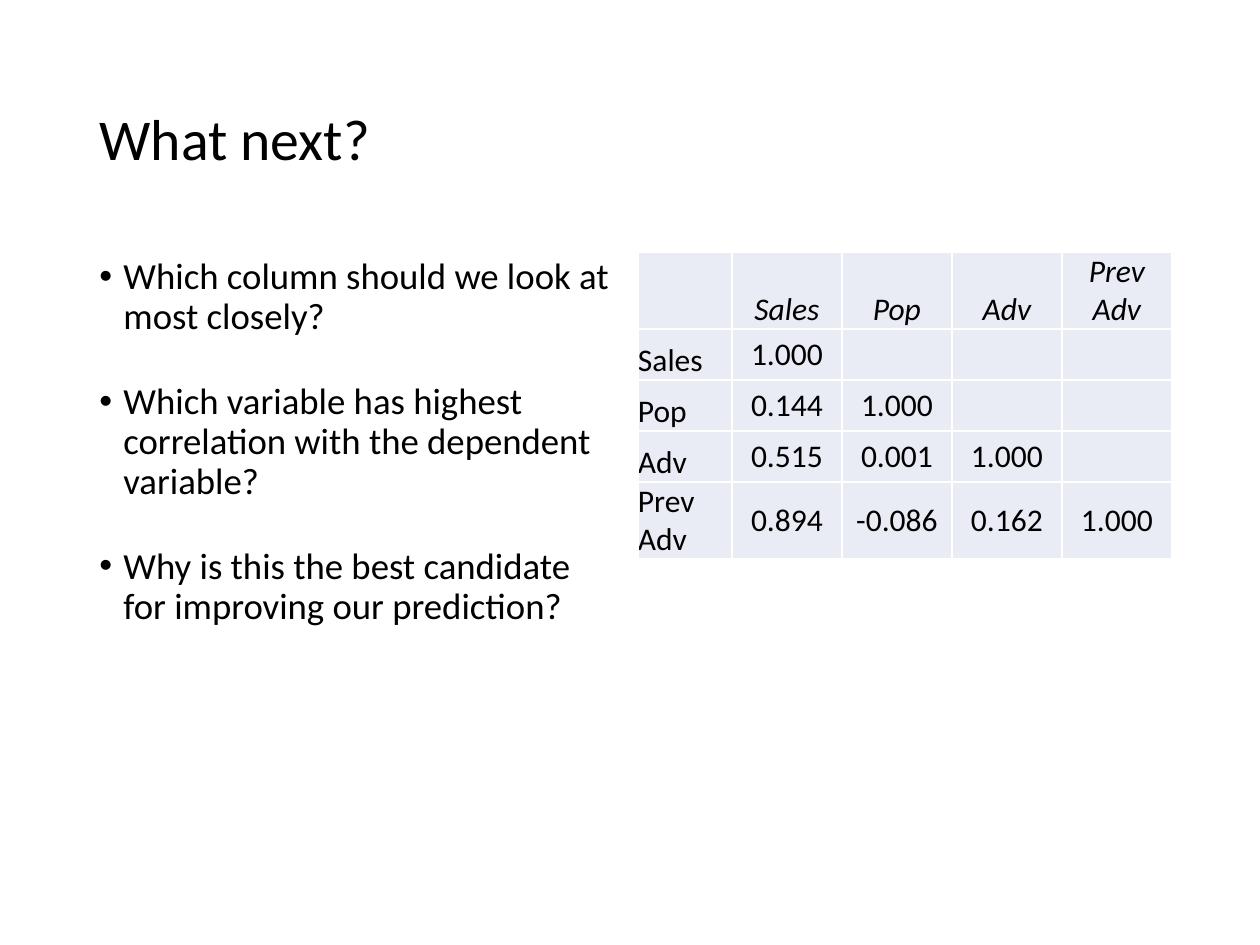
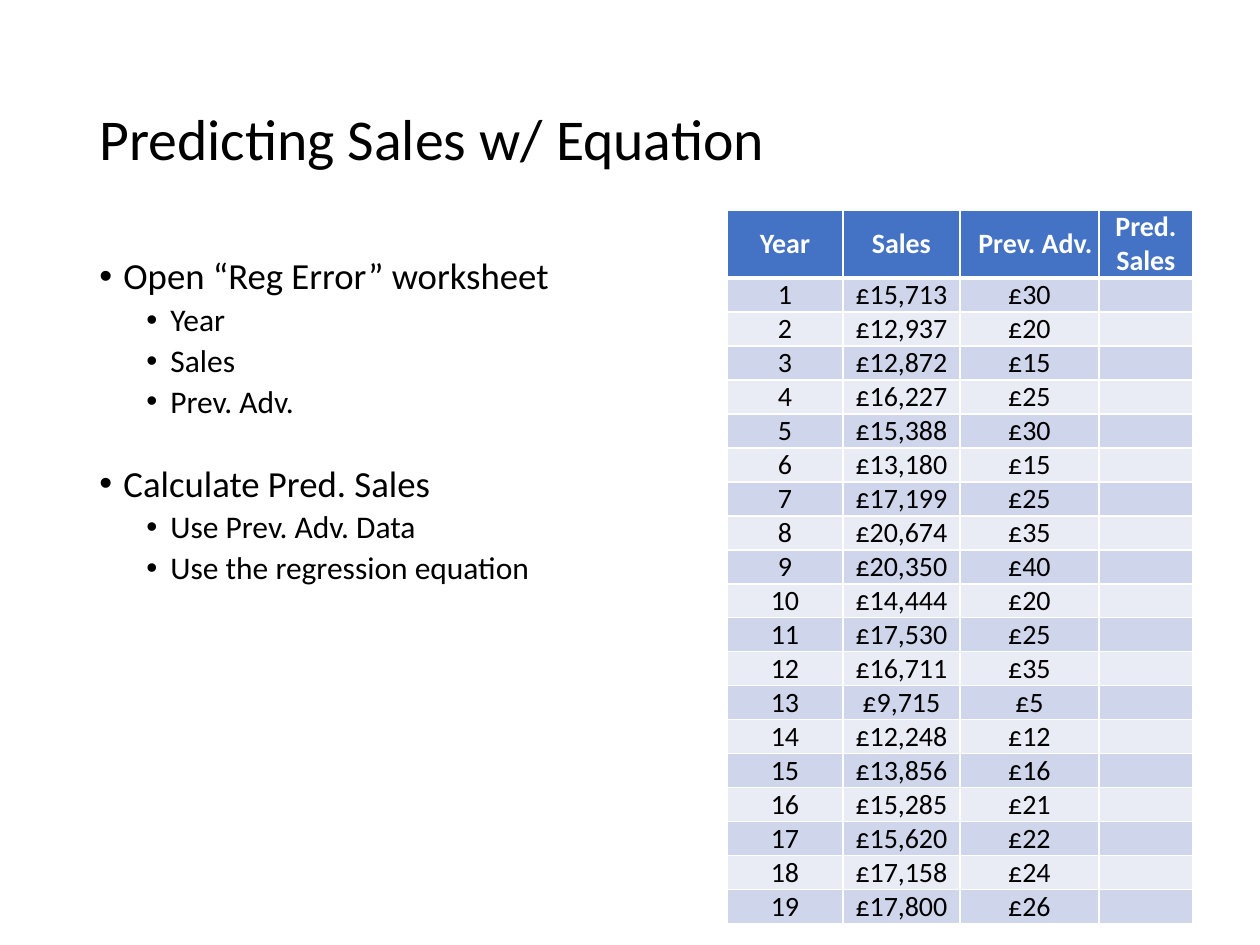
import pptx
import pptx.dml.color
import pptx.enum.text
import pptx.oxml.ns
import pptx.util
from lxml import etree

qn = pptx.oxml.ns.qn
ALIGN = pptx.enum.text.PP_ALIGN
ANCHOR = pptx.enum.text.MSO_ANCHOR

# Content: bullets are (level, text, starts a new group)
CORRELATION_BULLETS = [
    (0, "Which column should we look at most closely?", False),
    (0, "Which variable has highest correlation with the dependent variable?", True),
    (0, "Why is this the best candidate for improving our prediction?", True),
]
CORRELATION_ROWS = [
    ["", "Sales", "Pop", "Adv", "Prev Adv"],
    ["Sales", "1.000", "", "", ""],
    ["Pop", "0.144", "1.000", "", ""],
    ["Adv", "0.515", "0.001", "1.000", ""],
    ["Prev Adv", "0.894", "-0.086", "0.162", "1.000"],
]
PREDICTION_BULLETS = [
    (0, "Open “Reg Error” worksheet", False),
    (1, "Year", False),
    (1, "Sales", False),
    (1, "Prev. Adv.", False),
    (0, "Calculate Pred. Sales", True),
    (1, "Use Prev. Adv. Data", False),
    (1, "Use the regression equation", False),
]
SALES_HEADER = ["Year", "Sales", "Prev. Adv.", "Pred. Sales"]
SALES_BY_YEAR = [
    (15713, 30), (12937, 20), (12872, 15), (16227, 25), (15388, 30),
    (13180, 15), (17199, 25), (20674, 35), (20350, 40), (14444, 20),
    (17530, 25), (16711, 35), (9715, 5), (12248, 12), (13856, 16),
    (15285, 21), (15620, 22), (17158, 24), (17800, 26),
]


class Theme:
    font = "Calibri"
    black, white = "000000", "FFFFFF"
    header, band_dark, band_light = "4472C4", "CFD5EA", "E9EBF5"
    title_size = 33
    bullet_sizes = (21, 18)
    correlation_size, sales_size = 18, 16
    line_spacing = 0.9
    space_before = (7.5, 3.8)
    group_space = 26


# Geometry in px
SCALE = 914400 / 126
SLIDE_SIZE = (1260, 945)
TITLE_BOX = (87, 50, 1086, 183)
BODY_BOX = (87, 252, 536, 600)
BULLET_HANG = 24
BULLET_INDENTS = (24, 71)
CORRELATION_ORIGIN = (638, 252)
CORRELATION_COLUMNS = [94] + [110] * 4
CORRELATION_HEIGHTS = [77, 51, 51, 51, 77]
SALES_ORIGIN = (727, 210)
SALES_COLUMNS = [116, 117, 139, 94]
SALES_HEIGHTS = [68] + [34] * len(SALES_BY_YEAR)
ADV_HEADER_INSET = 12


def px(length):
    return pptx.util.Emu(round(length * SCALE))


def add_run(paragraph, text, size, color=Theme.black, bold=False, italic=False):
    run = paragraph.add_run()
    run.text = text
    font = run.font
    font.name, font.size = Theme.font, pptx.util.Pt(size)
    font.bold, font.italic = bold, italic
    font.color.rgb = pptx.dml.color.RGBColor.from_string(color)


def add_text_frame(slide, box):
    frame = slide.shapes.add_textbox(*map(px, box)).text_frame
    frame.word_wrap = True
    return frame


def add_title(slide, text):
    frame = add_text_frame(slide, TITLE_BOX)
    frame.vertical_anchor = ANCHOR.MIDDLE
    paragraph = frame.paragraphs[0]
    paragraph.line_spacing = Theme.line_spacing
    add_run(paragraph, text, Theme.title_size)


def add_bullets(slide, bullets):
    frame = add_text_frame(slide, BODY_BOX)
    for index, (level, text, new_group) in enumerate(bullets):
        paragraph = frame.add_paragraph() if index else frame.paragraphs[0]
        paragraph.level = level
        paragraph.line_spacing = Theme.line_spacing
        space = Theme.group_space if new_group else Theme.space_before[level]
        paragraph.space_before = pptx.util.Pt(space)
        properties = paragraph._p.get_or_add_pPr()
        properties.set("marL", str(px(BULLET_INDENTS[level])))
        properties.set("indent", str(px(-BULLET_HANG)))
        etree.SubElement(properties, qn("a:buFont"), typeface="Arial")
        etree.SubElement(properties, qn("a:buChar"), char="•")
        add_run(paragraph, text, Theme.bullet_sizes[level])


def style_cell(cell, fill, bottom_width=1):
    """Draw the white borders, then the fill, and clear the insets."""
    properties = cell._tc.get_or_add_tcPr()
    for side in "LRTB":
        width = pptx.util.Pt(bottom_width if side == "B" else 1)
        line = etree.SubElement(properties, qn("a:ln" + side), w=str(width))
        solid = etree.SubElement(line, qn("a:solidFill"))
        etree.SubElement(solid, qn("a:srgbClr"), val=Theme.white)
    cell.fill.solid()
    cell.fill.fore_color.rgb = pptx.dml.color.RGBColor.from_string(fill)
    cell.margin_left = cell.margin_right = cell.margin_top = cell.margin_bottom = 0


def write_cell(cell, text, size, align=ALIGN.CENTER, anchor=ANCHOR.MIDDLE, **font):
    cell.vertical_anchor = anchor
    paragraph = cell.text_frame.paragraphs[0]
    paragraph.alignment = align
    if text:
        add_run(paragraph, text, size, **font)
    else:
        # An empty cell must not stretch its row
        etree.SubElement(paragraph._p, qn("a:endParaRPr"), sz=str(size * 100))


def add_plain_table(slide, origin, widths, heights):
    box = (*origin, sum(widths), sum(heights))
    table = slide.shapes.add_table(len(heights), len(widths), *map(px, box)).table
    table.first_row = table.horz_banding = False
    for column, width in zip(table.columns, widths):
        column.width = px(width)
    for row, height in zip(table.rows, heights):
        row.height = px(height)
    return table


def add_correlation_table(slide):
    table = add_plain_table(slide, CORRELATION_ORIGIN, CORRELATION_COLUMNS,
                            CORRELATION_HEIGHTS)
    for r, values in enumerate(CORRELATION_ROWS):
        for c, text in enumerate(values):
            cell = table.cell(r, c)
            style_cell(cell, Theme.band_light)
            is_label = r == 0 or c == 0
            write_cell(cell, text, Theme.correlation_size,
                       align=ALIGN.CENTER if c else ALIGN.LEFT,
                       anchor=ANCHOR.BOTTOM if is_label else ANCHOR.MIDDLE,
                       italic=r == 0)


def add_sales_table(slide):
    table = add_plain_table(slide, SALES_ORIGIN, SALES_COLUMNS, SALES_HEIGHTS)
    for c, text in enumerate(SALES_HEADER):
        cell = table.cell(0, c)
        style_cell(cell, Theme.header, bottom_width=3)
        write_cell(cell, text, Theme.sales_size, color=Theme.white, bold=True)
    table.cell(0, SALES_HEADER.index("Prev. Adv.")).margin_left = px(ADV_HEADER_INSET)
    for year, (sales, advertising) in enumerate(SALES_BY_YEAR, start=1):
        fill = Theme.band_dark if year % 2 else Theme.band_light
        for c, text in enumerate([str(year), f"£{sales:,}", f"£{advertising}", ""]):
            cell = table.cell(year, c)
            style_cell(cell, fill)
            write_cell(cell, text, Theme.sales_size)


SLIDES = [
    ("What next?", CORRELATION_BULLETS, add_correlation_table),
    ("Predicting Sales w/ Equation", PREDICTION_BULLETS, add_sales_table),
]


def main():
    presentation = pptx.Presentation()
    presentation.slide_width, presentation.slide_height = map(px, SLIDE_SIZE)
    for title, bullets, add_data_table in SLIDES:
        slide = presentation.slides.add_slide(presentation.slide_layouts[6])
        add_title(slide, title)
        add_bullets(slide, bullets)
        add_data_table(slide)
    presentation.save("out.pptx")


if __name__ == "__main__":
    main()
